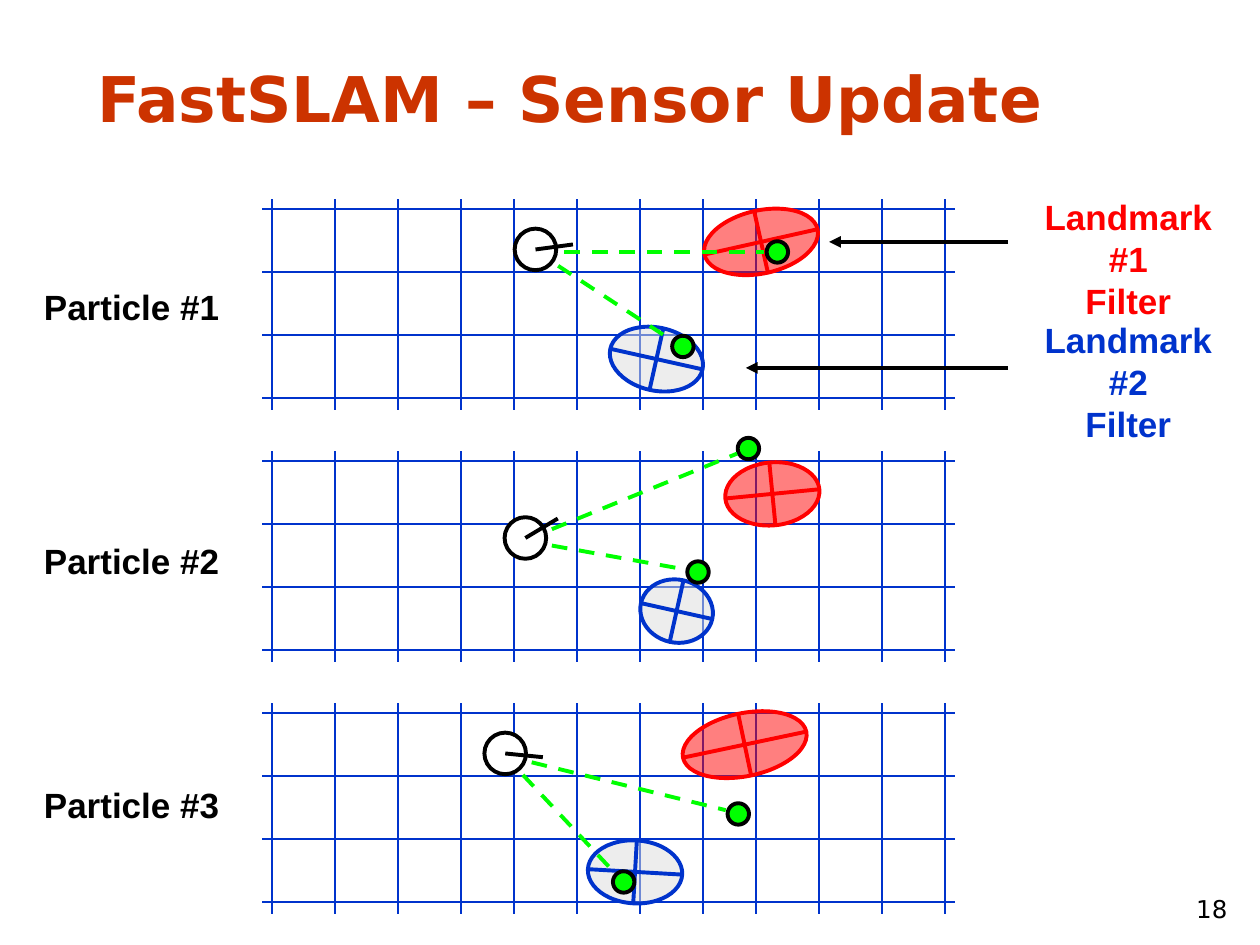
from math import cos, radians, sin

from lxml import etree
from pptx import Presentation
from pptx.dml.color import RGBColor
from pptx.enum.dml import MSO_LINE
from pptx.enum.shapes import MSO_CONNECTOR, MSO_SHAPE
from pptx.enum.text import MSO_ANCHOR, MSO_AUTO_SIZE, PP_ALIGN
from pptx.oxml.ns import qn
from pptx.util import Inches, Pt

OVAL = MSO_SHAPE.OVAL
STRAIGHT = MSO_CONNECTOR.STRAIGHT
DASH = MSO_LINE.DASH
LEFT, CENTER, RIGHT = PP_ALIGN.LEFT, PP_ALIGN.CENTER, PP_ALIGN.RIGHT
TOP, BOTTOM = MSO_ANCHOR.TOP, MSO_ANCHOR.BOTTOM
GROW = MSO_AUTO_SIZE.SHAPE_TO_FIT_TEXT

RED, BLUE, GREEN = "FF0000", "0033CC", "00FF00"
BLACK, WHITE, GREY = "000000", "FFFFFF", "DDDDDD"

# Positions are offsets from the corner of each particle's grid.
# Filters: centre x, y, width, angle. Robot: centre x, y, heading.
# Sights: ray start, ray end, landmark centre.
PARTICLES = [
    {"label": 2.22,
     "red": (3.96, 0.34, 0.92, -12.6),
     "blue": (3.13, 1.27, 0.75, 12.6),
     "robot": (2.17, 0.4, -7.6),
     "sights": [((2.35, 0.53), (3.25, 1.12), (3.34, 1.17)),
                ((2.4, 0.42), (3.98, 0.42), (4.09, 0.42))]},
    {"label": 4.23,
     "red": (4.05, 0.34, 0.75, -5.6),
     "blue": (3.29, 1.27, 0.58, 12.6),
     "robot": (2.09, 0.69, -31),
     "sights": [((2.3, 0.75), (3.36, 0.94), (3.46, 0.96)),
                ((2.3, 0.62), (3.77, 0.02), (3.86, -0.02))]},
    {"label": 6.17,
     "red": (3.83, 0.33, 1, -11.9),
     "blue": (2.96, 1.34, 0.75, 3.3),
     "robot": (1.93, 0.4, 5.7),
     "sights": [((2.07, 0.57), (2.81, 1.36), (2.87, 1.42)),
                ((2.14, 0.47), (3.68, 0.85), (3.78, 0.88))]},
]


def color(code):
    """Turn a hex string into a colour."""
    return RGBColor.from_string(code)


def add_line(shapes, start, end, code, width=2.25):
    """Draw a straight line without shadow."""
    line = shapes.add_connector(STRAIGHT, *map(Inches, (*start, *end)))
    line.line.color.rgb = color(code)
    line.line.width = Pt(width)
    etree.SubElement(line._element.spPr, qn("a:effectLst"))
    return line


def add_oval(shapes, x, y, width, height, fill, edge):
    """Draw an oval around its centre."""
    box = (x - width / 2, y - height / 2, width, height)
    oval = shapes.add_shape(OVAL, *map(Inches, box))
    oval.shadow.inherit = False
    oval.fill.solid()
    oval.fill.fore_color.rgb = color(fill)
    oval.line.color.rgb = color(edge)
    oval.line.width = Pt(2.25)
    return oval


def add_run(para, text, font, size, code, bold=True):
    """Add one formatted run to a paragraph."""
    run = para.add_run()
    run.text = text
    run.font.name = font
    run.font.size = Pt(size)
    run.font.bold = bold
    run.font.color.rgb = color(code)


def add_label(slide, box, lines, code, align=LEFT):
    """Place a bold label, one paragraph a line."""
    frame = slide.shapes.add_textbox(*map(Inches, box)).text_frame
    frame.word_wrap = False
    frame.auto_size = GROW
    frame.vertical_anchor = TOP
    for i, text in enumerate(lines):
        para = frame.add_paragraph() if i else frame.paragraphs[0]
        para.alignment = align
        add_run(para, text, "Arial", 20, code)


def add_title(slide, box):
    """Format and fill the title."""
    title = slide.shapes.title
    title.left, title.top, title.width, title.height = map(Inches, box)
    frame = title.text_frame
    frame.auto_size = GROW
    frame.vertical_anchor = BOTTOM
    para = frame.paragraphs[0]
    para.alignment = LEFT
    add_run(para, "FastSLAM – Sensor Update", "DejaVu Sans", 36, "CC3300")


def add_number(slide, box):
    """Place the page number."""
    frame = slide.shapes.add_textbox(*map(Inches, box)).text_frame
    frame.word_wrap = True
    frame.vertical_anchor = BOTTOM
    para = frame.paragraphs[0]
    para.alignment = RIGHT
    add_run(para, "18", "DejaVu Sans", 14, BLACK, False)


def add_grid(slide, x, y, width, height):
    """Draw the map grid of one particle."""
    shapes = slide.shapes.add_group_shape().shapes
    for base in (0.08, 2, 3.92):
        for k in range(4):
            col = x + base + 0.5 * k
            add_line(shapes, (col, y), (col, y + height), BLUE, 0.75)
    for k in range(4):
        row = y + 0.08 + 0.5 * k
        add_line(shapes, (x, row), (x + width, row), BLUE, 0.75)


def add_filter(slide, x, y, width, angle, fill, edge):
    """Draw a tilted, half clear ellipse with its two axes."""
    shapes = slide.shapes.add_group_shape().shapes
    height = 0.5
    oval = add_oval(shapes, x, y, width, height, fill, edge)
    oval.rotation = angle
    tint = oval.fill._xPr.find(qn("a:solidFill"))[0]
    etree.SubElement(tint, qn("a:alpha"), val="50000")
    for size, turn in ((width, angle), (height, angle + 90)):
        dx = size / 2 * cos(radians(turn))
        dy = size / 2 * sin(radians(turn))
        add_line(shapes, (x - dx, y - dy), (x + dx, y + dy), edge)


def add_robot(slide, x, y, angle):
    """Draw the robot with its heading."""
    shapes = slide.shapes.add_group_shape().shapes
    add_oval(shapes, x, y, 0.33, 0.33, WHITE, BLACK)
    tip = (x + 0.3 * cos(radians(angle)), y + 0.3 * sin(radians(angle)))
    add_line(shapes, (x, y), tip, BLACK)


def add_sights(slide, x, y, sights):
    """Draw the seen landmarks and the rays to them."""
    shapes = slide.shapes.add_group_shape().shapes
    for points in sights:
        start, end, (cx, cy) = [(x + px, y + py) for px, py in points]
        add_oval(shapes, cx, cy, 0.17, 0.17, GREEN, BLACK)
        add_line(shapes, start, end, GREEN).line.dash_style = DASH


def add_particle(slide, box, name, data):
    """Draw one particle: label, grid, filters, robot and sights."""
    x, y = box[:2]
    add_label(slide, (0.25, data["label"], 1.59, 0.44), [name], BLACK)
    add_grid(slide, *box)
    for key, fill, edge in (("red", RED, RED), ("blue", GREY, BLUE)):
        dx, dy, width, angle = data[key]
        add_filter(slide, x + dx, y + dy, width, angle, fill, edge)
    dx, dy, angle = data["robot"]
    add_robot(slide, x + dx, y + dy, angle)
    add_sights(slide, x, y, data["sights"])


def add_callout(slide, box, name, code, tip):
    """Name a filter and point an arrow at it."""
    add_label(slide, box, [name, "Filter"], code, CENTER)
    arrow = add_line(slide.shapes, (box[0], tip[1]), tip, BLACK)
    etree.SubElement(arrow.line._get_or_add_ln(), qn("a:tailEnd"), type="triangle")


def main():
    """Build the slide and save it."""
    deck = Presentation()
    deck.slide_width, deck.slide_height = Inches(10), Inches(7.5)
    slide = deck.slides.add_slide(deck.slide_layouts[5])
    add_title(slide, (0.67, 0.42, 9.21, 0.7))
    for i, data in enumerate(PARTICLES):
        box = (2.08, 1.58 + 2 * i, 5.5, 1.67)
        add_particle(slide, box, f"Particle #{i + 1}", data)
    add_callout(slide, (8, 1.5, 1.91, 0.77), "Landmark #1", RED, (6.58, 1.92))
    add_callout(slide, (8, 2.48, 1.91, 0.77), "Landmark #2", BLUE, (5.92, 2.92))
    add_number(slide, (9.17, 6.88, 0.67, 0.5))
    deck.save("out.pptx")


if __name__ == "__main__":
    main()
